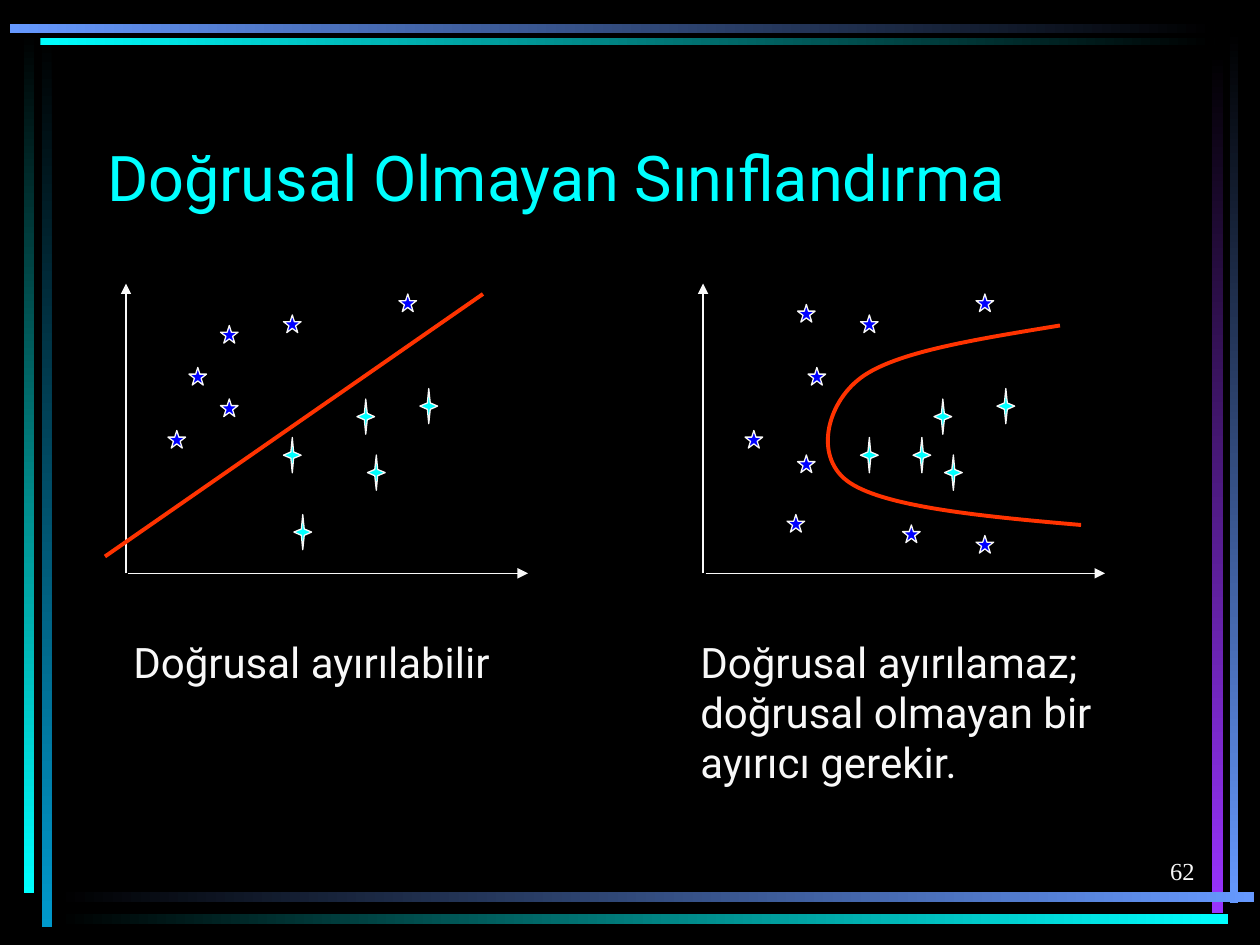
from lxml import etree
from pptx import Presentation, util as u
from pptx.dml.color import RGBColor
from pptx.enum import shapes, text
from pptx.oxml.ns import qn

COLORS = {"black": "000000", "white": "F8F8F8", "cyan": "00FFFF", "blue": "0000FF",
          "red": "FF3300", "teal": "0099CC", "sky": "6699FF", "violet": "9933FF"}
TITLE = "Doğrusal Olmayan Sınıflandırma"
PAGE_NUMBER = "62"

# Frame bars: left, top, width, height, first colour, last colour
BARS = [
    (0.33, 0.28, 0.08, 7.08, "black", "teal"),
    (0.19, 0.25, 0.08, 6.84, "black", "cyan"),
    (9.76, 0.24, 0.07, 6.93, "black", "sky"),
    (9.62, 0.42, 0.09, 6.83, "black", "violet"),
    (0.45, 7.08, 9.5, 0.08, "black", "sky"),
    (0.45, 7.25, 9.3, 0.08, "black", "cyan"),
    (0.32, 0.3, 9.32, 0.06, "cyan", "black"),
    (0.08, 0.19, 9.56, 0.07, "sky", "black"),
]

# Plots: marker and separator places are (column, row) on a grid of 1/12 inch
PLOTS = [
    {"left": 1.0,
     "stars": [(26, 1), (9, 4), (4, 14), (9, 11), (6, 8), (15, 3)],
     "sparkles": [(23, 16.33), (16, 22), (15, 14.67), (22, 11), (28, 10)],
     "separator": [(-2, 26), (34, 1)],
     "caption": (0.96, ["Doğrusal ayırılabilir"])},
    {"left": 5.58,
     "stars": [(26, 1), (10, 8), (4, 14), (8, 22), (26, 24), (15, 3),
               (19, 23), (9, 16.33), (9, 2)],
     "sparkles": [(23, 16.33), (20, 14.67), (15, 14.67), (22, 11), (28, 10)],
     "separator": [(34, 4), (26.1, 5.3), (18.3, 6.5), (15, 9), (11.7, 11.5),
                   (10.5, 16.7), (14, 19), (17.5, 21.3), (26.7, 22.2), (36, 23)],
     "caption": (5.46, ["Doğrusal ayırılamaz;", "doğrusal olmayan bir",
                        "ayırıcı gerekir."])},
]
PLOT_TOP, AXIS_Y, CELL = 2.25, 4.55, 1 / 12
MARKER_W, SPARKLE_H = 0.14, 0.28
# Sparkle outline as shares of its width and height
SPARKLE = [(0, 0.5), (0.42, 0.41), (0.5, 0), (0.58, 0.41),
           (1, 0.5), (0.58, 0.59), (0.5, 1), (0.42, 0.59)]
UNITS = 1000  # outline units per inch

prs = Presentation()
prs.slide_width, prs.slide_height = u.Inches(10), u.Inches(7.5)
slide = prs.slides.add_slide(prs.slide_layouts[5])


def rgb(name):
    return RGBColor.from_string(COLORS[name])


def inches(*values):
    return [u.Inches(v) for v in values]


def style(shape, fill, line, width):
    shape.shadow.inherit = False
    if fill:
        shape.fill.solid()
        shape.fill.fore_color.rgb = rgb(fill)
    else:
        shape.fill.background()
    shape.line.color.rgb = rgb(line)
    shape.line.width = u.Pt(width)


def add_line(start, end, color, width, arrow=False):
    line = slide.shapes.add_connector(shapes.MSO_CONNECTOR.STRAIGHT, *inches(*start, *end))
    line.line.color.rgb = rgb(color)
    line.line.width = u.Pt(width)
    props = line._element.spPr
    if arrow:
        etree.SubElement(props.find(qn("a:ln")), qn("a:tailEnd"), type="triangle")
    etree.SubElement(props, qn("a:effectLst"))


def add_outline(points, close):
    local = [(x * UNITS, y * UNITS) for x, y in points]
    builder = slide.shapes.build_freeform(*local[0], scale=u.Inches(1) / UNITS)
    builder.add_line_segments(local[1:], close=close)
    return builder.convert_to_shape()


def add_curve(points):
    curve = add_outline(points, close=False)
    style(curve, None, "red", 2.25)
    # Every three points after the first make one Bezier segment
    track = next(curve._element.iter(qn("a:path")))
    steps = track.findall(qn("a:lnTo"))
    for i in range(0, len(steps), 3):
        bezier = etree.SubElement(track, qn("a:cubicBezTo"))
        for step in steps[i:i + 3]:
            bezier.append(step[0])
            track.remove(step)


def write(frame, lines, font, size, color, align=text.PP_ALIGN.LEFT,
          anchor=text.MSO_ANCHOR.TOP):
    frame.word_wrap = True
    frame.auto_size = text.MSO_AUTO_SIZE.NONE
    frame.vertical_anchor = anchor
    for i, line in enumerate(lines):
        para = frame.add_paragraph() if i else frame.paragraphs[0]
        para.text = line
        para.alignment = align
        para.font.name, para.font.size = font, u.Pt(size)
        para.font.color.rgb = rgb(color)


# Background and frame
slide.background.fill.solid()
slide.background.fill.fore_color.rgb = rgb("black")
for left, top, width, height, first, last in BARS:
    bar = slide.shapes.add_shape(shapes.MSO_SHAPE.RECTANGLE,
                                 *inches(left, top, width, height))
    bar.shadow.inherit = False
    bar.line.fill.background()
    bar.fill.gradient()
    bar.fill.gradient_angle = 270 if height > width else 0
    for stop, name in zip(bar.fill.gradient_stops, (first, last)):
        stop.color.rgb = rgb(name)

# Title
title = slide.shapes.title
title.left, title.top, title.width, title.height = inches(0.75, 0.67, 8.5, 1.08)
write(title.text_frame, [TITLE], "Roboto", 36, "cyan", anchor=text.MSO_ANCHOR.BOTTOM)

# Plots
for plot in PLOTS:
    origin = plot["left"]

    def place(cell):
        return origin + cell[0] * CELL, PLOT_TOP + cell[1] * CELL

    add_line((origin + 0.02, AXIS_Y), (origin + 3.19, AXIS_Y), "white", 0.75, arrow=True)
    add_line((origin, AXIS_Y), (origin, PLOT_TOP), "white", 0.75, arrow=True)
    for cell in plot["stars"]:
        star = slide.shapes.add_shape(shapes.MSO_SHAPE.STAR_5_POINT,
                                      *inches(*place(cell), MARKER_W, MARKER_W))
        style(star, "blue", "white", 0.75)
    for cell in plot["sparkles"]:
        x, y = place(cell)
        sparkle = add_outline([(x + dx * MARKER_W, y + dy * SPARKLE_H)
                               for dx, dy in SPARKLE], close=True)
        style(sparkle, "cyan", "white", 0.75)

    separator = [place(cell) for cell in plot["separator"]]
    if len(separator) == 2:
        add_line(*separator, "red", 2.25)
    else:
        add_curve(separator)

    left, lines = plot["caption"]
    caption = slide.shapes.add_textbox(*inches(left, 5, 3.54, 0.1 + 0.4 * len(lines)))
    write(caption.text_frame, lines, "Roboto", 24, "white")

# Page number
number = slide.shapes.add_textbox(*inches(7.5, 6.58, 2.08, 0.5))
write(number.text_frame, [PAGE_NUMBER], "Times New Roman", 14, "white",
      text.PP_ALIGN.RIGHT, text.MSO_ANCHOR.BOTTOM)

prs.save("out.pptx")
